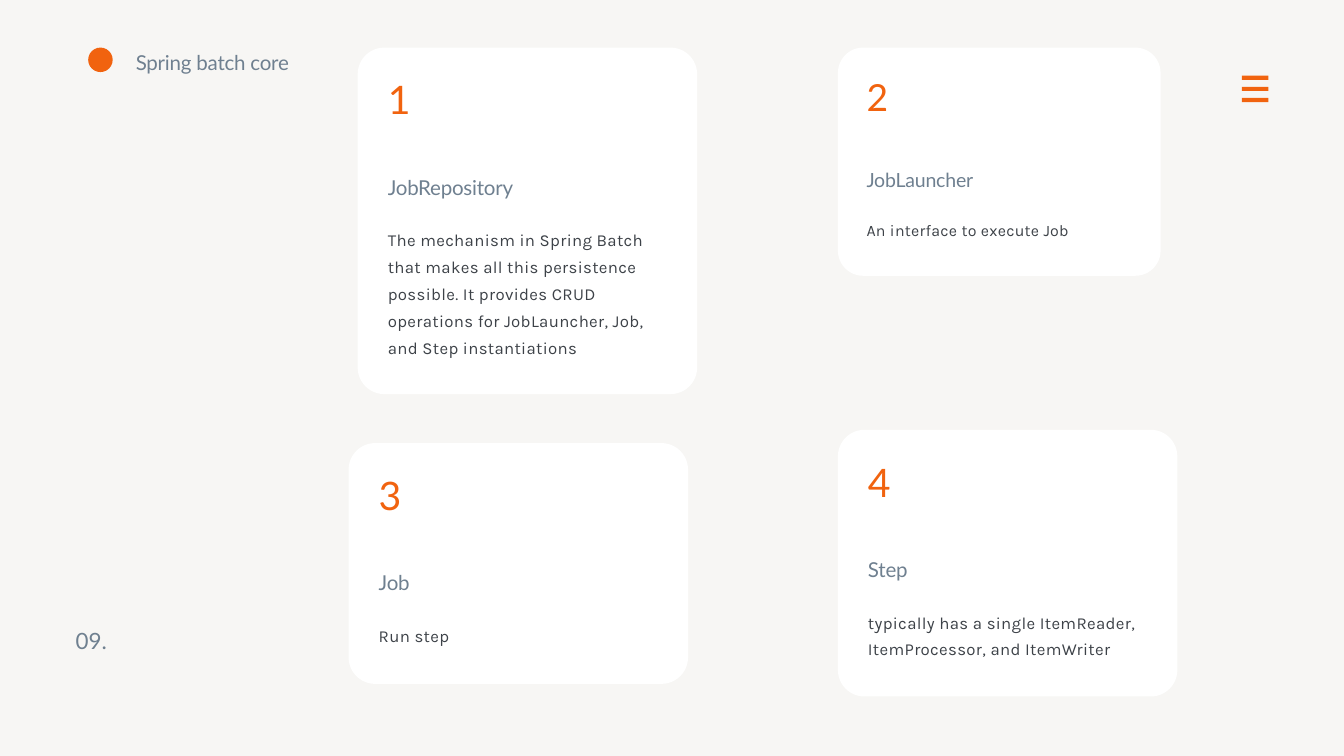
"""Build the slide that introduces the four core parts of Spring Batch."""
from dataclasses import dataclass

from pptx import Presentation
from pptx.dml.color import RGBColor
from pptx.enum.shapes import MSO_SHAPE
from pptx.enum.text import MSO_ANCHOR, MSO_AUTO_SIZE, PP_ALIGN
from pptx.util import Emu, Pt

EMU_PER_PX = 9525


@dataclass(frozen=True)
class TextStyle:
    font: str
    size: float
    color: str
    leading: float
    tracking: int


@dataclass(frozen=True)
class Theme:
    background: str = "F7F6F4"
    card: str = "FFFFFF"
    accent: str = "F1630F"
    number: TextStyle = TextStyle("Lato", 42, "F1630F", 1.4, -42)
    heading: TextStyle = TextStyle("Lato", 22, "6F8090", 1.4, -22)
    page: TextStyle = TextStyle("Lato", 24, "6F8090", 1.4, 0)
    body: TextStyle = TextStyle("Karla", 18, "3D4248", 1.6, 36)


class SlideBuilder:
    def __init__(self, slide, theme):
        self.slide = slide
        self.theme = theme
        fill = slide.background.fill
        fill.solid()
        fill.fore_color.rgb = RGBColor.from_string(theme.background)

    def shape(self, preset, left, top, width, height, color):
        box = [Emu(length * EMU_PER_PX) for length in (left, top, width, height)]
        shape = self.slide.shapes.add_shape(preset, *box)
        shape.shadow.inherit = False
        shape.fill.solid()
        shape.fill.fore_color.rgb = RGBColor.from_string(color)
        shape.line.fill.background()
        return shape

    def set_text(self, shape, text, style, scale=1):
        frame = shape.text_frame
        frame.text = text
        frame.word_wrap = True
        frame.auto_size = MSO_AUTO_SIZE.NONE
        frame.vertical_anchor = MSO_ANCHOR.TOP
        frame.margin_left = frame.margin_top = 0
        frame.margin_right = frame.margin_bottom = 0
        paragraph = frame.paragraphs[0]
        paragraph.alignment = PP_ALIGN.LEFT
        paragraph.line_spacing = Pt(style.size * style.leading * scale)
        run = paragraph.runs[0]
        run.font.name = style.font
        run.font.size = Pt(style.size * scale)
        run.font.color.rgb = RGBColor.from_string(style.color)
        run._r.get_or_add_rPr().set("spc", str(round(style.tracking * scale)))

    def text(self, left, top, width, height, text, style, scale=1):
        box = [Emu(length * EMU_PER_PX) for length in (left, top, width, height)]
        self.set_text(self.slide.shapes.add_textbox(*box), text, style, scale)

    def title(self, left, top, width, height, text):
        title = self.slide.shapes.title
        title.left, title.top = Emu(left * EMU_PER_PX), Emu(top * EMU_PER_PX)
        title.width, title.height = Emu(width * EMU_PER_PX), Emu(height * EMU_PER_PX)
        self.set_text(title, text, self.theme.heading)

    def menu_icon(self, left, top):
        for row in range(3):
            self.shape(MSO_SHAPE.RECTANGLE, left, top + row * 16, 38, 6, self.theme.accent)

    def card(self, left, top, height, number, heading, body, scale=1):
        def scaled(length):
            return round(length * scale)

        width = scaled(485)
        card_height = scaled(height)
        panel = self.shape(
            MSO_SHAPE.ROUNDED_RECTANGLE, left, top, width, card_height, self.theme.card
        )
        panel.adjustments[0] = scaled(38) / min(width, card_height)
        parts = (
            (29, 81, 73, number, self.theme.number),
            (176, 399, 38, heading, self.theme.heading),
            (251, 399, height - 310, body, self.theme.body),
        )
        for offset, text_width, text_height, text, style in parts:
            self.text(
                left + scaled(43), top + scaled(offset),
                scaled(text_width), scaled(text_height), text, style, scale,
            )


def main():
    presentation = Presentation()
    presentation.slide_width = Emu(1920 * EMU_PER_PX)
    presentation.slide_height = Emu(1080 * EMU_PER_PX)
    theme = Theme()
    builder = SlideBuilder(
        presentation.slides.add_slide(presentation.slide_layouts[5]), theme
    )

    builder.menu_icon(1774, 108)
    builder.card(
        511, 68, 495, "1", "JobRepository",
        "The mechanism in Spring Batch that makes all this persistence possible. "
        "It provides CRUD operations for JobLauncher, Job, and Step instantiations",
    )
    builder.card(1197, 68, 343, "2", "JobLauncher", "An interface to execute Job", 0.95)
    builder.card(498, 633, 344, "3", "Job", "Run step")
    builder.card(
        1197, 614, 381, "4", "Step",
        "typically has a single ItemReader, ItemProcessor, and ItemWriter",
    )
    builder.text(108, 890, 461, 42, "09.", theme.page)
    builder.title(194, 65, 584, 38, "Spring batch core")
    builder.shape(MSO_SHAPE.OVAL, 126, 68, 35, 35, theme.accent)

    presentation.save("out.pptx")


if __name__ == "__main__":
    main()
